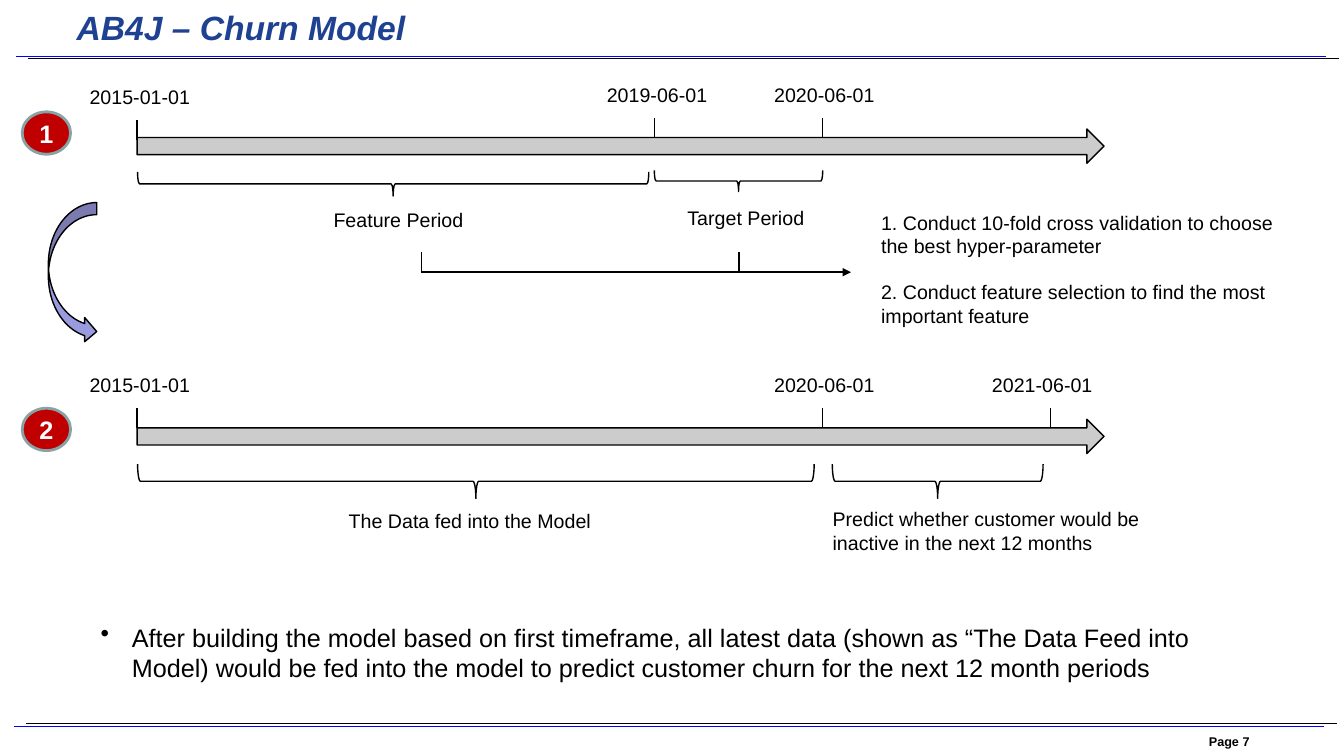
from dataclasses import dataclass

from lxml import etree
from pptx import Presentation
from pptx.dml.color import RGBColor as RGB
from pptx.enum.shapes import MSO_CONNECTOR as CONN, MSO_SHAPE as SHAPE
from pptx.enum.text import MSO_ANCHOR as ANCHOR, MSO_AUTO_SIZE as FIT, PP_ALIGN as ALIGN
from pptx.oxml.ns import qn
from pptx.util import Pt


@dataclass(frozen=True)
class Theme:
    font: str = "Arial"
    ink: str = "000000"
    white: str = "FFFFFF"
    rule: str = "0000FF"
    title: str = "1E4191"
    bar: str = "CCCCCC"
    curve: str = "9A9ADF"
    badge: str = "C00000"
    badge_line: str = "88A3A5"
    title_size: int = 24
    body_size: int = 18
    label_size: int = 14
    page_size: int = 9


PX = 9144
T = Theme()

prs = Presentation()
prs.slide_width, prs.slide_height = 1333 * PX, 750 * PX
s = prs.slides.add_slide(prs.slide_layouts[5])


def write(sp, lines, size, color=T.ink, bold=False, inset=(10, 5)):
    tf = sp.text_frame
    tf.word_wrap = True
    tf.auto_size = FIT.NONE
    tf.margin_left = tf.margin_right = inset[0] * PX
    tf.margin_top = tf.margin_bottom = inset[1] * PX
    tf.text = "\n".join(lines)
    for p in tf.paragraphs:
        p.font.name, p.font.size, p.font.bold = T.font, Pt(size), bold
        p.font.color.rgb = RGB.from_string(color)
    return tf


def draw(kind, x, y, w, h, fill, line=T.ink, width=1):
    sp = s.shapes.add_shape(kind, x * PX, y * PX, w * PX, h * PX)
    sp.shadow.inherit = False
    sp.fill.solid()
    sp.fill.fore_color.rgb = RGB.from_string(fill)
    sp.line.color.rgb = RGB.from_string(line)
    sp.line.width = Pt(width)
    return sp


title = s.shapes.title
title.left, title.top, title.width, title.height = 66 * PX, 0, 1203 * PX, 52 * PX
tf = write(title, ["AB4J – Churn Model"], T.title_size, T.title, True)
tf.vertical_anchor = ANCHOR.BOTTOM
tf.paragraphs[0].alignment = ALIGN.LEFT
tf.paragraphs[0].font.italic = True

for y in (128, 416):
    draw(SHAPE.RIGHT_ARROW, 136, y, 959, 34, T.bar)

braces = [(137, 170, 507, 24), (649, 169, 167, 21), (137, 460, 671, 34), (826, 460, 209, 34)]
for x, y, w, h in braces:
    sp = draw(SHAPE.LEFT_BRACE, x + (w - h) // 2, y - (w - h) // 2, h, w, T.white)
    sp.rotation = 270

dates = [
    ("2015-01-01", 79, 79, 136),
    ("2019-06-01", 592, 77, 649),
    ("2020-06-01", 758, 77, 816),
    ("2015-01-01", 79, 365, 136),
    ("2020-06-01", 758, 365, 816),
    ("2021-06-01", 974, 365, 1042),
]
ticks = [(tick, y + 40, tick, y + 60) for text, x, y, tick in dates]
ticks += [(x, 250, x, 270) for x in (418, 733)]
flow = (418, 270, 844, 270)
rules = [
    (14, 721, 1313, 721, T.rule),
    (26, 718, 1326, 718, T.ink),
    (16, 56, 1315, 56, T.rule),
    (28, 58, 1328, 58, T.ink),
]
lines = [(*tick, T.ink, 1) for tick in ticks + [flow]] + [(*rule, 0.75) for rule in rules]
for x1, y1, x2, y2, color, width in lines:
    cn = s.shapes.add_connector(CONN.STRAIGHT, x1 * PX, y1 * PX, x2 * PX, y2 * PX)
    cn.line.color.rgb = RGB.from_string(color)
    cn.line.width = Pt(width)
    if (x1, y1, x2, y2) == flow:
        etree.SubElement(cn.line._get_or_add_ln(), qn("a:tailEnd"), type="triangle")
    etree.SubElement(cn._element.spPr, qn("a:effectLst"))

labels = [(text, x, y, 161, 34) for text, x, y, tick in dates] + [
    ("Feature Period", 321, 201, 150, 34),
    ("Target Period", 672, 199, 150, 34),
    ("The Data fed into the Model", 336, 500, 353, 34),
    ("Predict whether customer would be inactive in the next 12 months", 816, 498, 366, 57),
]
for text, x, y, w, h in labels:
    write(s.shapes.add_textbox(x * PX, y * PX, w * PX, h * PX), [text], T.label_size)

steps = s.shapes.add_textbox(864 * PX, 204 * PX, 409 * PX, 128 * PX)
tf = write(steps, [
    "1. Conduct 10-fold cross validation to choose the best hyper-parameter",
    "2. Conduct feature selection to find the most important feature",
], T.label_size)
tf.paragraphs[1].space_before = Pt(16)

curve = draw(SHAPE.CURVED_LEFT_ARROW, 48, 201, 48, 140, T.curve)
curve._element.spPr.xfrm.set("flipH", "1")

summary = s.shapes.add_textbox(90 * PX, 612 * PX, 1132 * PX, 71 * PX)
tf = write(summary, [
    "After building the model based on first timeframe, all latest data (shown as “The Data Feed into "
    "Model) would be fed into the model to predict customer churn for the next 12 month periods"
], T.body_size)
pPr = tf.paragraphs[0]._p.get_or_add_pPr()
pPr.set("marL", str(31 * PX))
pPr.set("indent", str(-31 * PX))
bullet = etree.Element(qn("a:buChar"), char="•")
pPr.insert(0, bullet)

for number, y in (("1", 111), ("2", 405)):
    sp = draw(SHAPE.OVAL, 22, y, 48, 42, T.badge, T.badge_line, 2)
    tf = write(sp, [number], T.body_size, T.white, True)
    tf.vertical_anchor = ANCHOR.MIDDLE
    tf.paragraphs[0].alignment = ALIGN.CENTER

page = s.shapes.add_textbox(1188 * PX, 722 * PX, 151 * PX, 26 * PX)
write(page, ["Page 7"], T.page_size, bold=True, inset=(11, 6))

prs.save("out.pptx")
